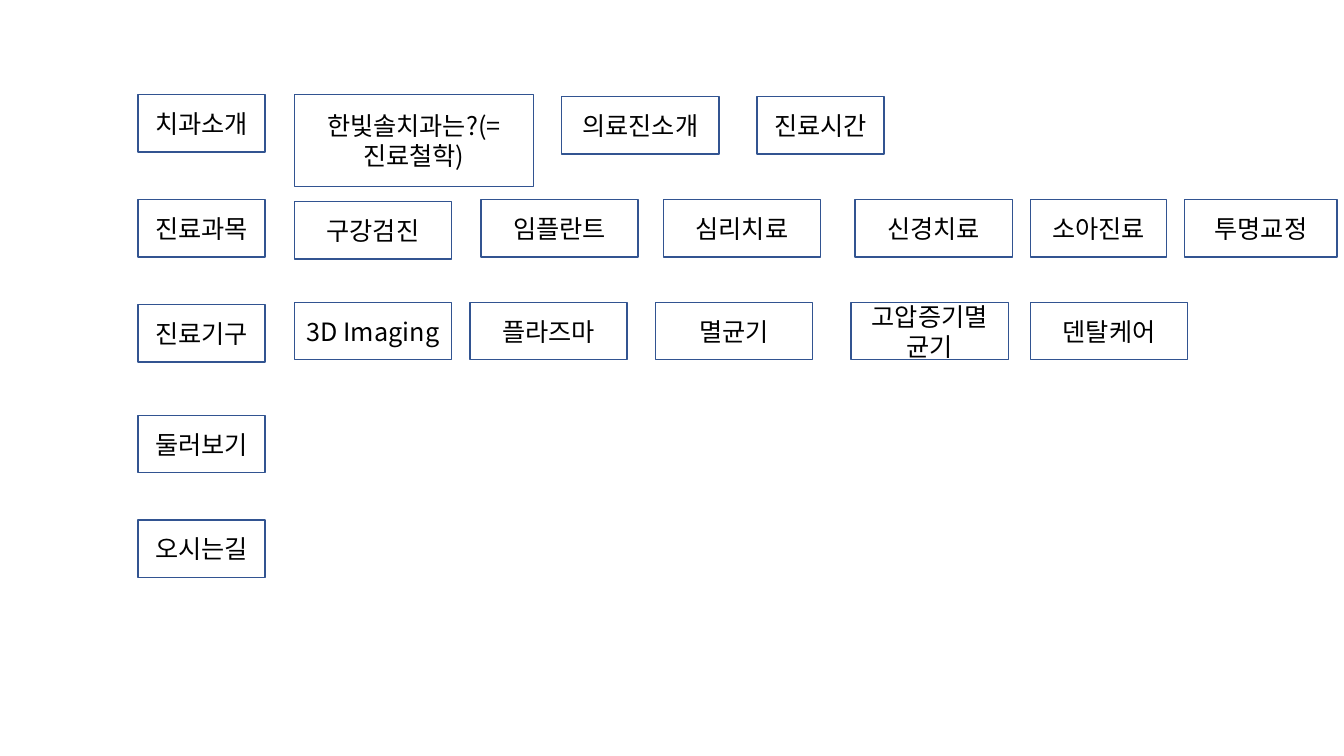
"""Site map of a dental clinic: menu heads with their pages in rows."""
from dataclasses import dataclass

from lxml import etree
from pptx import Presentation
from pptx import util as u
from pptx.dml.color import RGBColor
from pptx.enum import shapes, text
from pptx.oxml.ns import qn


@dataclass(frozen=True)
class Theme:
    """Colours, font and sizes in points."""
    ink: RGBColor = RGBColor(0x00, 0x00, 0x00)
    edge: RGBColor = RGBColor(0x32, 0x54, 0x91)
    font: str = "Noto Sans CJK KR"
    size: int = 18
    line: int = 1


@dataclass(frozen=True)
class Box:
    """A page box, in percent of the slide's width and height."""
    label: str
    left: float
    width: float = 11.7
    height: float = 7.6
    drop: float = 0


@dataclass(frozen=True)
class Row:
    """A menu head with its pages, each with its top in percent."""
    head: str
    top: float
    page_top: float = 0
    pages: tuple[Box, ...] = ()


THEME = Theme()
WIDE, HIGH = u.Inches(13.33), u.Inches(7.5)
HEAD_LEFT, HEAD_WIDTH, PAGE_LEFT = 10.28, 9.45, 21.9

ROWS = (
    Row("치과소개", 12.53, 12.8, (
        Box("한빛솔치과는?(=진료철학)", PAGE_LEFT, 17.78, 12.13, -0.27),
        Box("의료진소개", 41.79),
        Box("진료시간", 56.34, HEAD_WIDTH))),
    Row("진료과목", 26.4, 26.4, (
        Box("구강검진", PAGE_LEFT, drop=0.27),
        Box("임플란트", 35.78),
        Box("심리치료", 49.36),
        Box("신경치료", 63.62),
        Box("소아진료", 76.67, 10.13),
        Box("투명교정", 88.15, 11.33))),
    Row("진료기구", 40.27, 40, (
        Box("3D Imaging", PAGE_LEFT),
        Box("플라즈마", 34.96),
        Box("멸균기", 48.76),
        Box("고압증기멸균기", 63.32),
        Box("덴탈케어", 76.67))),
    Row("둘러보기", 54.93),
    Row("오시는길", 68.8),
)


def share(part: float, whole: int) -> int:
    """Turn a percentage of a length into EMU."""
    return round(whole * part / 100)


def draw_box(slide, box: Box, top: float) -> None:
    """Draw one outlined box with a centred label."""
    shape = slide.shapes.add_shape(
        shapes.MSO_SHAPE.RECTANGLE,
        share(box.left, WIDE), share(top + box.drop, HIGH),
        share(box.width, WIDE), share(box.height, HIGH))
    shape.shadow.inherit = False
    shape.fill.background()
    shape.line.color.rgb = THEME.edge
    shape.line.width = u.Pt(THEME.line)
    frame = shape.text_frame
    frame.word_wrap = True
    frame.vertical_anchor = text.MSO_ANCHOR.MIDDLE
    frame.text = box.label
    para = frame.paragraphs[0]
    para.alignment = text.PP_ALIGN.CENTER
    font = para.runs[0].font
    font.size = u.Pt(THEME.size)
    font.color.rgb = THEME.ink
    font.name = THEME.font
    latin = para.runs[0].font._element.find(qn("a:latin"))
    asian = etree.Element(qn("a:ea"), typeface=THEME.font)
    latin.addnext(asian)


def main() -> None:
    """Build the slide and save it."""
    deck = Presentation()
    deck.slide_width, deck.slide_height = WIDE, HIGH
    slide = deck.slides.add_slide(deck.slide_layouts[6])
    for row in ROWS:
        draw_box(slide, Box(row.head, HEAD_LEFT, HEAD_WIDTH), row.top)
        for page in row.pages:
            draw_box(slide, page, row.page_top)
    deck.save("out.pptx")


if __name__ == "__main__":
    main()
